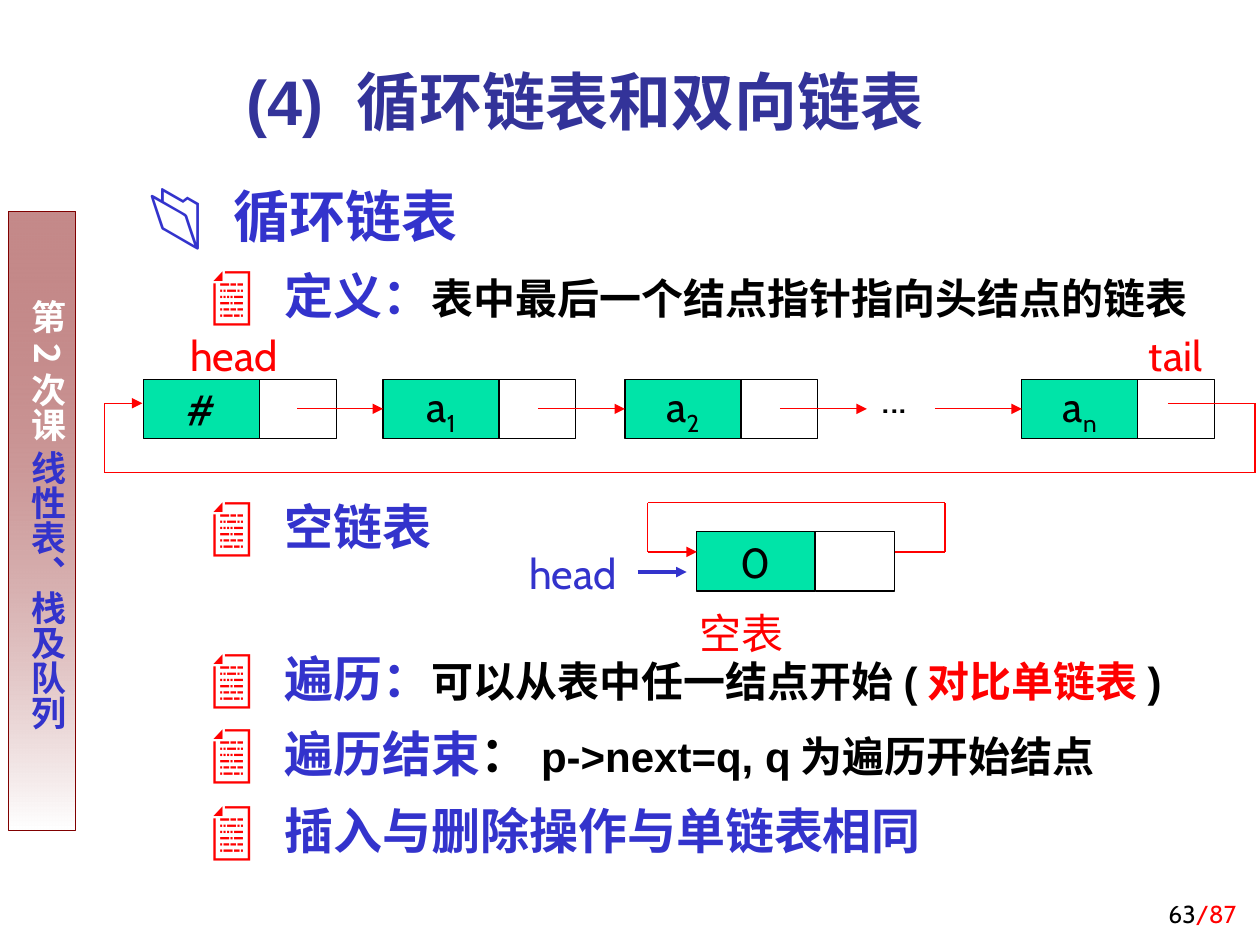
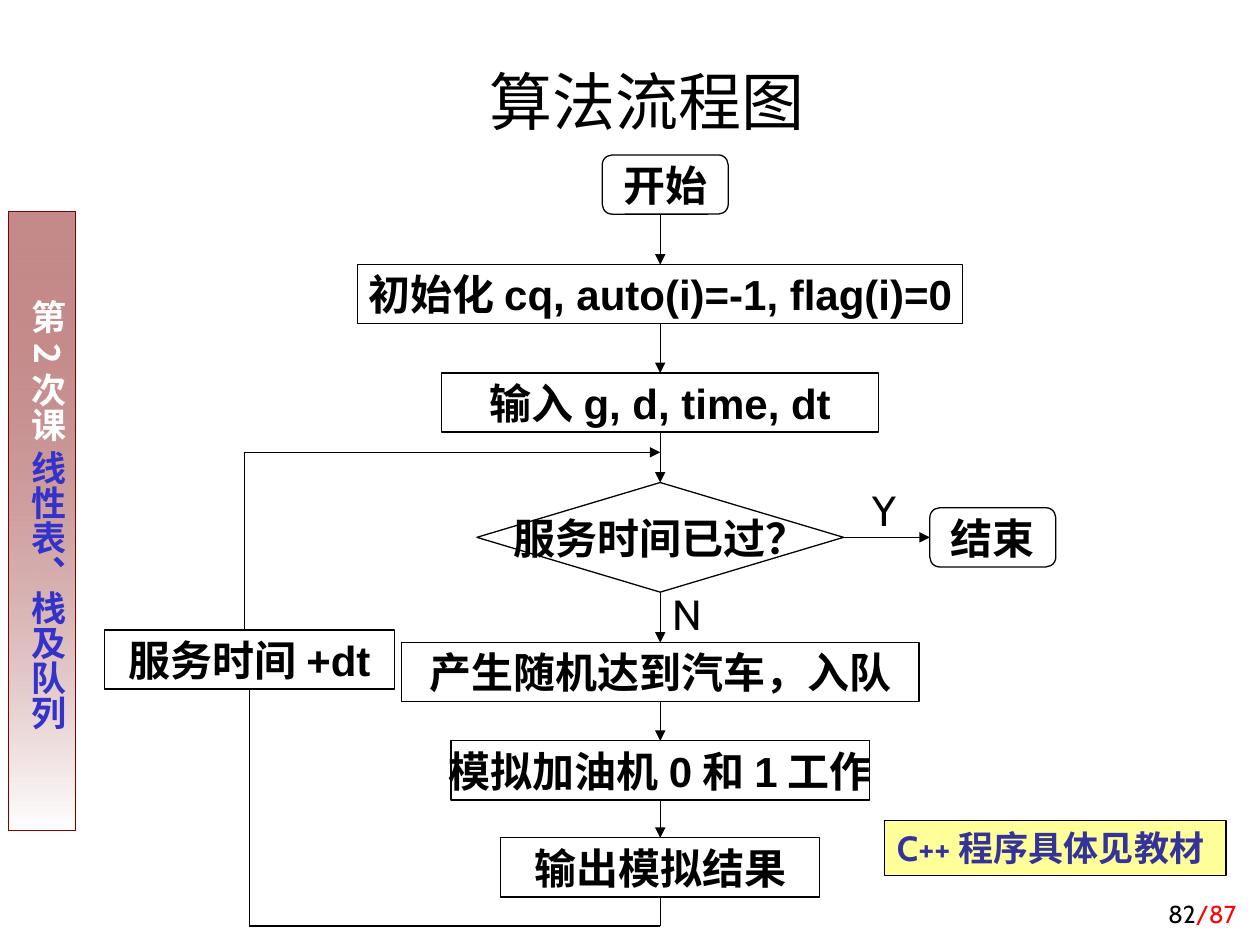
from dataclasses import dataclass

from lxml.etree import SubElement
from pptx import Presentation
from pptx.dml.color import RGBColor
from pptx.enum.shapes import MSO_CONNECTOR, MSO_SHAPE
from pptx.enum.text import MSO_ANCHOR, MSO_AUTO_SIZE, PP_ALIGN
from pptx.oxml.ns import qn
from pptx.util import Inches, Pt


@dataclass(frozen=True)
class Theme:
    black: str = "000000"
    white: str = "FFFFFF"
    red: str = "FF0000"
    blue: str = "3333CC"
    navy: str = "333399"
    maroon: str = "800000"
    green: str = "00E4A8"
    yellow: str = "FFFF99"
    latin: str = "Arial"
    plain: str = "Cabin"
    cjk: str = "Noto Sans CJK SC"
    title: int = 36
    heading: int = 32
    item: int = 28
    text: int = 24
    small: int = 20
    number: int = 14
    thin: float = 0.75


THEME = Theme()
RGB = RGBColor.from_string


def dress(shape, spans=(), fill=None, outline=None, size=THEME.text, font=THEME.plain,
          bold=False, align=PP_ALIGN.CENTER, anchor=MSO_ANCHOR.MIDDLE, wrap=False):
    """Format a shape and write its (text, colour) spans as one paragraph."""
    if outline:
        shape.shadow.inherit = False
        shape.line.color.rgb = RGB(outline)
        shape.line.width = Pt(THEME.thin)
        if fill:
            shape.fill.solid()
            shape.fill.fore_color.rgb = RGB(fill)
        else:
            shape.fill.background()
    frame = shape.text_frame
    frame.word_wrap = wrap
    frame.auto_size = MSO_AUTO_SIZE.NONE
    frame.vertical_anchor = anchor
    para = frame.paragraphs[0]
    para.alignment = align
    para.font.name, para.font.size, para.font.bold = font, Pt(size), bold
    for text, colour in spans:
        span = para.add_run()
        span.text = text
        owner = para if len(spans) == 1 else span
        owner.font.color.rgb = RGB(colour)
    return shape


def draw_line(page, start, end, colour, arrow=True, width=THEME.thin, source=None, target=None):
    """Draw a straight line; source and target are (shape, side) joints."""
    line = page.shapes.add_connector(MSO_CONNECTOR.STRAIGHT, *map(Inches, (*start, *end)))
    if source:
        line.begin_connect(*source)
    if target:
        line.end_connect(*target)
    line.line.color.rgb = RGB(colour)
    line.line.width = Pt(width)
    if arrow:
        SubElement(line.line._get_or_add_ln(), qn("a:tailEnd"), type="triangle")
    SubElement(line._element.spPr, qn("a:effectLst"))


deck = Presentation()
deck.slide_width, deck.slide_height = Inches(10), Inches(7.5)
list_page = deck.slides.add_slide(deck.slide_layouts[1])
flow_page = deck.slides.add_slide(deck.slide_layouts[5])

# Side band, shared through the slide master
band = list_page.shapes.add_shape(MSO_SHAPE.RECTANGLE, *map(Inches, (0.07, 1.68, 0.53, 4.91)))
dress(band, [("第2次课 ", THEME.white), ("线性表、栈及队列", THEME.blue)], outline=THEME.maroon,
      size=THEME.small, font=THEME.cjk, bold=True, align=PP_ALIGN.LEFT,
      anchor=MSO_ANCHOR.TOP, wrap=True)
band.fill.gradient()
band.fill.gradient_angle = 270
for stop, colour in zip(band.fill.gradient_stops, (THEME.maroon, THEME.white)):
    stop.color.rgb = RGB(colour)
top_colour = next(band._element.iter(qn("a:gs")))[0]
SubElement(top_colour, qn("a:alpha"), val="46000")
frame = band.text_frame
frame.margin_left = frame.margin_right = Inches(0.05)
frame.margin_top, frame.margin_bottom = Inches(0.7), Inches(0.1)
frame._txBody.bodyPr.set("vert", "eaVert")
deck.slide_master.shapes._spTree.append(band._element)

# Titles and page numbers
for page, title, at, colour, font, bold, number in (
    (list_page, "(4) 循环链表和双向链表", (1.69, 0.28, 5.91, 0.87), THEME.navy, THEME.latin, True, "63"),
    (flow_page, "算法流程图", (1.17, 0.36, 7.93, 0.79), THEME.black, THEME.plain, False, "82"),
):
    heading = page.shapes.title
    heading.left, heading.top, heading.width, heading.height = map(Inches, at)
    dress(heading, [(title, colour)], size=THEME.title, font=font, bold=bold,
          anchor=MSO_ANCHOR.BOTTOM, wrap=True)
    dress(page.shapes.add_textbox(*map(Inches, (7.83, 6.92, 2.08, 0.5))),
          [(number, THEME.black), ("/87", THEME.red)], size=THEME.number,
          align=PP_ALIGN.RIGHT, anchor=MSO_ANCHOR.BOTTOM, wrap=True)

# Circular list: bulleted text, with room left for the two diagrams
body = list_page.placeholders[1]
body.left, body.top, body.width, body.height = map(Inches, (1.08, 1.34, 8.71, 5.71))
body.text_frame.auto_size = MSO_AUTO_SIZE.NONE
items = [
    (0, 0, [("循环链表", THEME.heading, THEME.blue)]),
    (1, 6, [("定义：", THEME.item, THEME.blue),
            ("表中最后一个结点指针指向头结点的链表", THEME.text, THEME.black)]),
    (1, 95, [("空链表", THEME.item, THEME.blue)]),
    (1, 50, [("遍历：", THEME.item, THEME.blue),
             ("可以从表中任一结点开始(", THEME.text, THEME.black),
             ("对比单链表", THEME.text, THEME.red),
             (")", THEME.text, THEME.black)]),
    (1, 6, [("遍历结束", THEME.item, THEME.blue),
            ("：", THEME.item, THEME.black),
            ("p->next=q, q为遍历开始结点", THEME.text, THEME.black)]),
    (1, 7, [("插入与删除操作与单链表相同", THEME.item, THEME.blue)]),
]
bullets = [(0.67, 0.67, THEME.blue, "📂"), (1.08, 0.58, THEME.red, "📄")]
for index, (level, gap, spans) in enumerate(items):
    para = body.text_frame.paragraphs[0] if index == 0 else body.text_frame.add_paragraph()
    para.level = level
    margin, hang, colour, symbol = bullets[level]
    props = para._p.get_or_add_pPr()
    props.set("marL", str(Inches(margin)))
    props.set("indent", str(-Inches(hang)))
    SubElement(SubElement(props, qn("a:buClr")), qn("a:srgbClr"), val=colour)
    SubElement(props, qn("a:buSzPct"), val="120000")
    SubElement(props, qn("a:buFont"), typeface=THEME.latin)
    SubElement(props, qn("a:buChar"), char=symbol)
    para.line_spacing = 1.1
    para.space_before = Pt(gap)
    para.font.name, para.font.bold = THEME.latin, True
    para.font.size = Pt(spans[0][1])
    for text, size, colour in spans:
        span = para.add_run()
        span.text = text
        span.font.size = Pt(size)
        span.font.color.rgb = RGB(colour)

# Nodes: a data cell followed by a pointer cell
NODE_TOP, NODE_HEIGHT = 3.01, 0.47
nodes = []
for left, top, data_width, pointer_width, text, subscript in (
    (1.14, NODE_TOP, 0.92, 0.61, "#", ""),
    (3.04, NODE_TOP, 0.92, 0.61, "a", "1"),
    (4.96, NODE_TOP, 0.92, 0.61, "a", "2"),
    (8.11, NODE_TOP, 0.92, 0.61, "a", "n"),
    (5.53, 4.22, 0.94, 0.63, "0", ""),
):
    data, pointer = (
        list_page.shapes.add_shape(MSO_SHAPE.RECTANGLE, *map(Inches, (x, top, width, NODE_HEIGHT)))
        for x, width in ((left, data_width), (left + data_width, pointer_width)))
    spans = [(part, THEME.black) for part in (text, subscript) if part]
    dress(data, spans, fill=THEME.green, outline=THEME.black)
    dress(pointer, fill=THEME.white, outline=THEME.black)
    if subscript:
        data.text_frame.paragraphs[0].runs[1]._r.get_or_add_rPr().set("baseline", "-25000")
    nodes.append(data)

# Labels beside the nodes
for text, left, top, width, colour in (
    ("...", 6.9, 2.9, 0.47, THEME.black),
    ("head", 1.41, 2.57, 0.98, THEME.red),
    ("tail", 9.02, 2.57, 0.68, THEME.red),
    ("head", 4.1, 4.3, 0.98, THEME.blue),
    ("空表", 5.45, 4.77, 0.86, THEME.red),
):
    dress(list_page.shapes.add_textbox(*map(Inches, (left, top, width, 0.5))),
          [(text, colour)], align=PP_ALIGN.LEFT, anchor=MSO_ANCHOR.TOP)

# Links from node to node
link_y = NODE_TOP + NODE_HEIGHT / 2
for left, target in ((2.36, nodes[1]), (4.27, nodes[2]), (6.19, None), (7.42, nodes[3])):
    draw_line(list_page, (left, link_y), (left + 0.69, link_y), THEME.red,
              target=(target, 1) if target else None)
draw_line(list_page, (5.06, 4.54), (5.45, 4.54), THEME.blue, width=2)

# Loops from the last pointer back to the first node
for corners in (
    [(9.27, 3.2), (9.96, 3.2), (9.96, 3.75), (0.83, 3.75), (0.83, 3.2), (1.13, 3.2)],
    [(7.1, 4.38), (7.5, 4.38), (7.5, 3.99), (5.14, 3.99), (5.14, 4.38), (5.53, 4.38)],
):
    for start, end in zip(corners, corners[1:]):
        draw_line(list_page, start, end, THEME.red, arrow=end == corners[-1])

# Flow chart steps: centre, top, width, height
AXIS = 5.24
steps = {}
for name, kind, text, centre, top, width, height in (
    ("start", MSO_SHAPE.ROUNDED_RECTANGLE, "开始", 5.28, 1.23, 1, 0.47),
    ("init", MSO_SHAPE.RECTANGLE, "初始化cq, auto(i)=-1, flag(i)=0", AXIS, 2.1, 4.8, 0.47),
    ("input", MSO_SHAPE.RECTANGLE, "输入g, d, time, dt", AXIS, 2.96, 3.47, 0.47),
    ("check", MSO_SHAPE.DIAMOND, "服务时间已过？", AXIS, 3.83, 2.91, 0.87),
    ("end", MSO_SHAPE.ROUNDED_RECTANGLE, "结束", 7.88, 4.03, 1, 0.47),
    ("arrive", MSO_SHAPE.RECTANGLE, "产生随机达到汽车，入队", AXIS, 5.1, 4.11, 0.47),
    ("work", MSO_SHAPE.RECTANGLE, "模拟加油机0和1工作", AXIS, 5.88, 3.32, 0.47),
    ("output", MSO_SHAPE.RECTANGLE, "输出模拟结果", AXIS, 6.65, 2.53, 0.47),
    ("advance", MSO_SHAPE.RECTANGLE, "服务时间+dt", 1.98, 5, 2.3, 0.47),
):
    step = flow_page.shapes.add_shape(kind, *map(Inches, (centre - width / 2, top, width, height)))
    font = THEME.plain if name == "check" else THEME.latin
    steps[name] = dress(step, [(text, THEME.black)], outline=THEME.black, font=font, bold=True)

# Flow arrows down the axis and out to the end
draw_line(flow_page, (AXIS, 1.7), (AXIS, 2.1), THEME.black, target=(steps["init"], 0))
chain = ["init", "input", "check", "arrive", "work", "output"]
for upper, lower in zip(chain, chain[1:]):
    draw_line(flow_page, (AXIS, 2), (AXIS, 3), THEME.black,
              source=(steps[upper], 2), target=(steps[lower], 0))
draw_line(flow_page, (6.69, 4.27), (7.38, 4.27), THEME.black,
          source=(steps["check"], 3), target=(steps["end"], 1))

# Return path through the time step
draw_line(flow_page, (AXIS, 7.12), (AXIS, 7.35), THEME.black, False, source=(steps["output"], 2))
draw_line(flow_page, (AXIS, 7.35), (1.98, 7.35), THEME.black, False)
draw_line(flow_page, (1.98, 7.35), (1.98, 5.47), THEME.black, False, target=(steps["advance"], 2))
draw_line(flow_page, (1.94, 5), (1.94, 3.59), THEME.black, False)
draw_line(flow_page, (1.94, 3.59), (AXIS, 3.59), THEME.black)

# Branch labels and note
for text, left, top, width in (("Y", 6.83, 3.8, 0.39), ("N", 5.24, 4.62, 0.45)):
    dress(flow_page.shapes.add_textbox(*map(Inches, (left, top, width, 0.5))),
          [(text, THEME.black)], align=PP_ALIGN.LEFT, anchor=MSO_ANCHOR.TOP)
note = flow_page.shapes.add_shape(MSO_SHAPE.RECTANGLE, *map(Inches, (7.02, 6.51, 2.71, 0.44)))
dress(note, [("C++程序具体见教材", THEME.navy)], fill=THEME.yellow, outline=THEME.black,
      size=THEME.small, bold=True, align=PP_ALIGN.LEFT, anchor=MSO_ANCHOR.TOP, wrap=True)

# East Asian font beside each Latin one
for root in (list_page.element, flow_page.element, band._element):
    for latin in list(root.iter(qn("a:latin"))):
        face = THEME.cjk if latin.get("typeface") == THEME.cjk else THEME.plain
        latin.addnext(latin.makeelement(qn("a:ea"), typeface=face))

deck.save("out.pptx")
